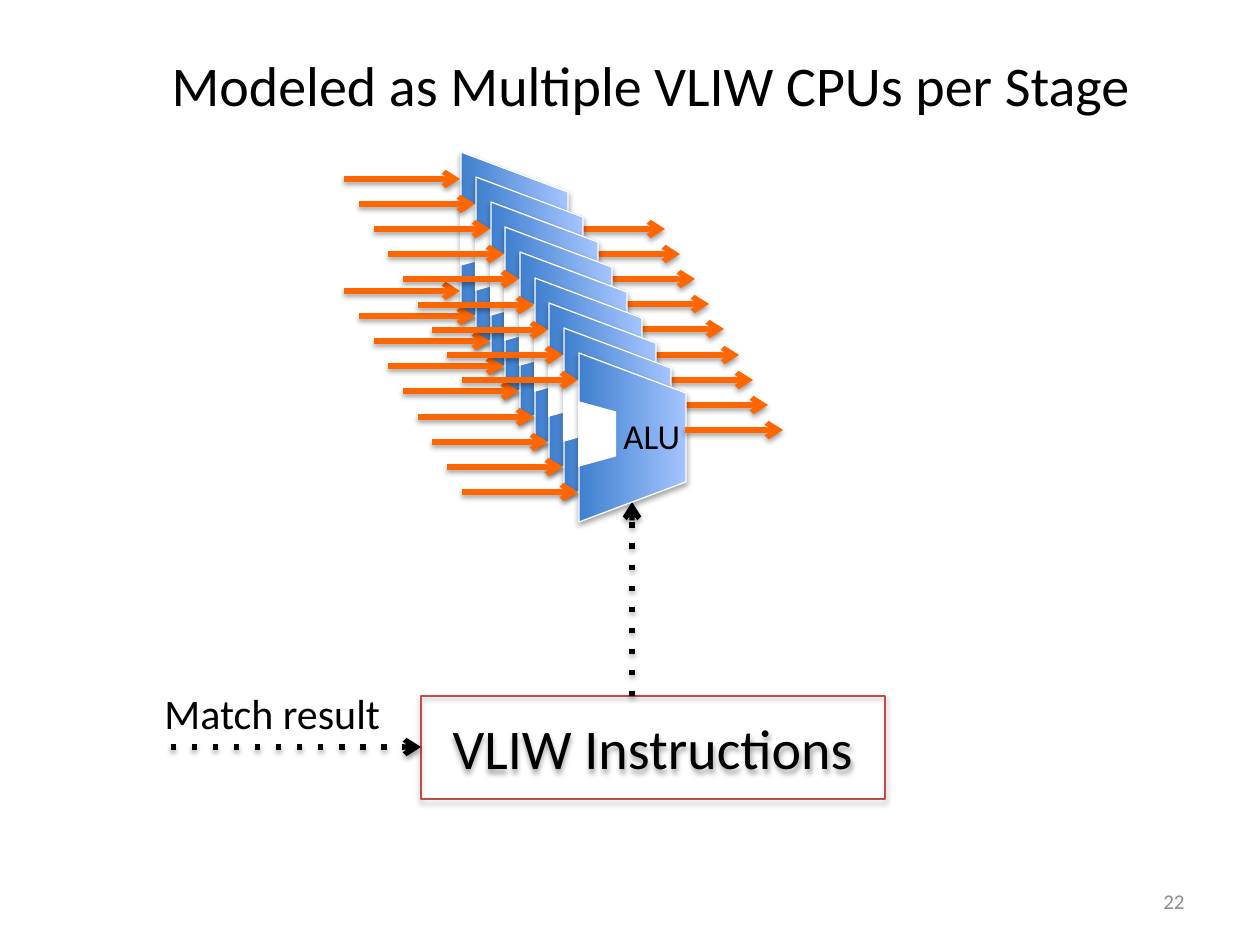
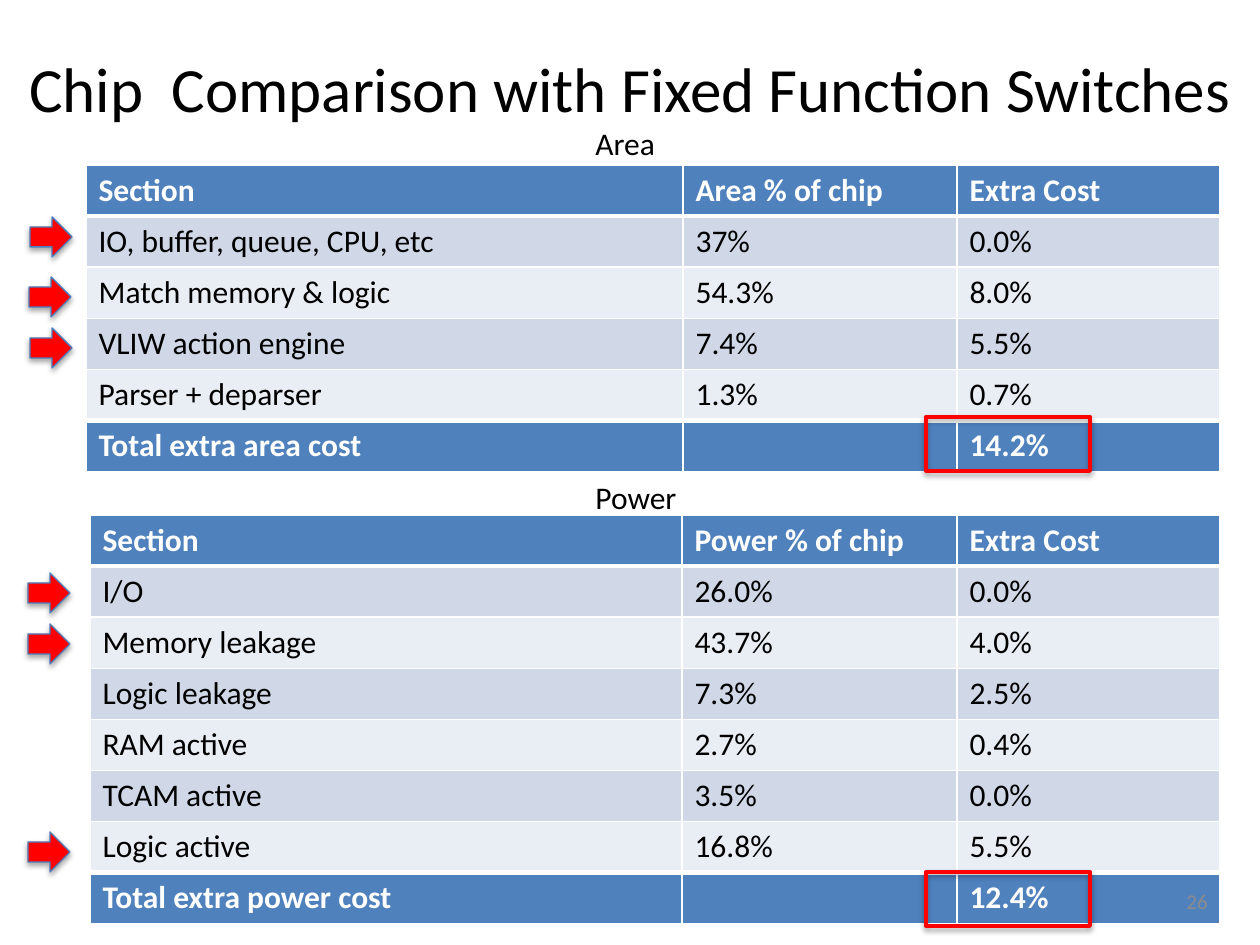
import lxml.etree
import pptx
import pptx.dml.color
import pptx.enum.shapes
import pptx.enum.text
import pptx.oxml
import pptx.oxml.ns
import pptx.util

RGB = pptx.dml.color.RGBColor
SHAPE = pptx.enum.shapes.MSO_SHAPE
ALIGN = pptx.enum.text.PP_ALIGN
ANCHOR = pptx.enum.text.MSO_ANCHOR
AUTO = pptx.enum.text.MSO_AUTO_SIZE
qn = pptx.oxml.ns.qn

BLACK = RGB(0x00, 0x00, 0x00)
WHITE = RGB(0xFF, 0xFF, 0xFF)
GREY = RGB(0x8C, 0x8C, 0x8C)
ORANGE = RGB(0xFF, 0x66, 0x00)
RED = RGB(0xFF, 0x00, 0x00)
BOX_RED = RGB(0xBF, 0x4C, 0x48)
ARROW_EDGE = RGB(0x4B, 0x7E, 0xBC)
ALU_DARK = RGB(0x3F, 0x80, 0xCE)
ALU_LIGHT = RGB(0xA4, 0xC4, 0xFF)
HEADER_BLUE = RGB(0x4F, 0x81, 0xBD)
BANDS = [RGB(0xD0, 0xD8, 0xE8), RGB(0xE9, 0xED, 0xF4)]

FONT = "Calibri"
PX_PER_INCH = 126
ROW_H = 51
ALU_COUNT = 9
STACK_SHIFT = (118, 201)

AREA_ROWS = [
    ("Section", "Area % of chip", "Extra Cost"),
    ("IO, buffer, queue, CPU, etc", "37%", "0.0%"),
    ("Match memory & logic", "54.3%", "8.0%"),
    ("VLIW action engine", "7.4%", "5.5%"),
    ("Parser + deparser", "1.3%", "0.7%"),
    ("Total extra area cost", "", "14.2%"),
]
POWER_ROWS = [
    ("Section", "Power % of chip", "Extra Cost"),
    ("I/O", "26.0%", "0.0%"),
    ("Memory leakage", "43.7%", "4.0%"),
    ("Logic leakage", "7.3%", "2.5%"),
    ("RAM active", "2.7%", "0.4%"),
    ("TCAM active", "3.5%", "0.0%"),
    ("Logic active", "16.8%", "5.5%"),
    ("Total extra power cost", "", "12.4%"),
]


def px(*values):
    return [round(v * 914400 / PX_PER_INCH) for v in values]


def set_attrs(obj, values):
    for name, value in values.items():
        setattr(obj, name, value)


def write(tf, text, size, color=BLACK, align=ALIGN.LEFT, bold=False, **frame):
    set_attrs(tf, frame)
    p = tf.paragraphs[0]
    p.alignment = align
    r = p.add_run()
    r.text = text
    set_attrs(r.font, {"name": FONT, "size": pptx.util.Pt(size), "bold": bold})
    r.font.color.rgb = color


def add_text(shapes, box, text, size, **fmt):
    tf = shapes.add_textbox(*px(*box)).text_frame
    write(tf, text, size, **{"word_wrap": False, **fmt})


def add_shadow(sp, alpha=35, dist=23000):
    spPr = sp._element.spPr
    for old in spPr.findall(qn("a:effectLst")):
        spPr.remove(old)
    spPr.append(pptx.oxml.parse_xml(
        f'<a:effectLst {pptx.oxml.ns.nsdecls("a")}>'
        f'<a:outerShdw blurRad="40000" dist="{dist}" dir="5400000" rotWithShape="0">'
        f'<a:srgbClr val="000000"><a:alpha val="{alpha * 1000}"/></a:srgbClr>'
        '</a:outerShdw></a:effectLst>'))


def add_box(shapes, kind, box, fill=None, line=None, width=0.75, shadow=True):
    sp = shapes.add_shape(kind, *px(*box))
    sp.shadow.inherit = False
    if fill is None:
        sp.fill.background()
    else:
        sp.fill.solid()
        sp.fill.fore_color.rgb = fill
    if line is None:
        sp.line.fill.background()
    else:
        sp.line.color.rgb = line
        sp.line.width = pptx.util.Pt(width)
    if shadow:
        add_shadow(sp)
    return sp


def add_arrow(shapes, ends, color, dotted=False):
    line = shapes.add_connector(pptx.enum.shapes.MSO_CONNECTOR.STRAIGHT, *px(*ends))
    line.line.color.rgb = color
    line.line.width = pptx.util.Pt(3)
    ln = line.line._get_or_add_ln()
    if dotted:
        lxml.etree.SubElement(ln, qn("a:prstDash"), val="dot")
    lxml.etree.SubElement(ln, qn("a:tailEnd"), type="arrow")
    add_shadow(line, alpha=38, dist=20000)


def add_title(s, box, text, size, **fmt):
    title = s.shapes.title
    set_attrs(title, dict(zip(("left", "top", "width", "height"), px(*box))))
    write(title.text_frame, text, size, auto_size=AUTO.NONE, **fmt)


def add_page_number(s, left, number):
    add_text(s.shapes, (left, 876, 294, 50), number, 12, color=GREY,
             align=ALIGN.RIGHT, vertical_anchor=ANCHOR.MIDDLE, word_wrap=True)


def add_alu(s, dx, dy):
    shapes = s.shapes.add_group_shape().shapes
    body = add_box(shapes, SHAPE.TRAPEZOID, (430 + dx, 183 + dy, 169, 107), line=WHITE)
    body.rotation = 90
    body.adjustments[0] = 0.375
    body.fill.gradient()
    body.fill.gradient_angle = 90
    for stop, color in zip(body.fill.gradient_stops, (ALU_DARK, ALU_LIGHT)):
        stop.color.rgb = color
    notch = add_box(shapes, SHAPE.TRAPEZOID, (446 + dx, 214 + dy, 66, 38),
                    fill=WHITE, shadow=False)
    notch.rotation = 90
    notch.adjustments[0] = 0.277
    for x1, x2, y in ((344, 460, 179), (344, 460, 291), (567, 665, 229)):
        add_arrow(shapes, (x1 + dx, y + dy, x2 + dx, y + dy), ORANGE)
    add_text(shapes, (493 + dx, 207 + dy, 83, 55), "ALU", 20)


def set_borders(cell, top, bottom):
    tcPr = cell._tc.get_or_add_tcPr()
    for i, (side, width) in enumerate((("L", 1), ("R", 1), ("T", top), ("B", bottom))):
        ln = pptx.oxml.parse_xml(
            f'<a:ln{side} {pptx.oxml.ns.nsdecls("a")} w="{width * 12700}">'
            f'<a:solidFill><a:srgbClr val="{WHITE}"/></a:solidFill></a:ln{side}>')
        tcPr.insert(i, ln)


def add_cost_table(s, left, top, widths, rows):
    last = len(rows) - 1
    table = s.shapes.add_table(len(rows), len(widths),
                               *px(left, top, sum(widths), ROW_H * len(rows))).table
    set_attrs(table, {"first_row": True, "last_row": True, "horz_banding": False})
    for col, width in zip(table.columns, px(*widths)):
        col.width = width
    for i, row in enumerate(rows):
        table.rows[i].height = px(ROW_H)[0]
        strong = i in (0, last)
        for j, text in enumerate(row):
            cell = table.cell(i, j)
            cell.fill.solid()
            cell.fill.fore_color.rgb = HEADER_BLUE if strong else BANDS[(i - 1) % 2]
            set_borders(cell, 3 if i in (1, last) else 1, 3 if i in (0, last - 1) else 1)
            if text:
                write(cell.text_frame, text, 18, color=WHITE if strong else BLACK,
                      bold=strong)


def build_vliw_slide(prs):
    s = prs.slides.add_slide(prs.slide_layouts[5])
    add_title(s, (159, 44, 994, 81), "Modeled as Multiple VLIW CPUs per Stage", 32,
              word_wrap=False, vertical_anchor=ANCHOR.TOP)
    box = add_box(s.shapes, SHAPE.RECTANGLE, (421, 696, 464, 103), line=BOX_RED)
    write(box.text_frame, "VLIW Instructions", 32, align=ALIGN.CENTER,
          vertical_anchor=ANCHOR.MIDDLE)
    add_arrow(s.shapes, (632, 696, 632, 502), BLACK, dotted=True)
    add_arrow(s.shapes, (171, 747, 421, 747), BLACK, dotted=True)
    add_text(s.shapes, (152, 681, 245, 63), "Match result", 24)
    for i in range(ALU_COUNT):
        add_alu(s, *(round(shift * i / (ALU_COUNT - 1)) for shift in STACK_SHIFT))
    add_page_number(s, 903, "22")


def build_cost_slide(prs):
    s = prs.slides.add_slide(prs.slide_layouts[5])
    add_title(s, (0, 27, 1260, 121), "Chip  Comparison with Fixed Function Switches", 36,
              align=ALIGN.CENTER, vertical_anchor=ANCHOR.MIDDLE)
    add_cost_table(s, 86, 165, (597, 274, 263), AREA_ROWS)
    add_cost_table(s, 90, 515, (592, 275, 263), POWER_ROWS)
    add_text(s.shapes, (583, 118, 86, 50), "Area", 18)
    add_text(s.shapes, (583, 472, 108, 50), "Power", 18)
    for left, top in ((30, 217), (29, 277), (30, 328), (28, 573), (28, 624), (28, 832)):
        add_box(s.shapes, SHAPE.RIGHT_ARROW, (left, top, 42, 40), fill=RED, line=ARROW_EDGE)
    for top in (417, 872):
        add_box(s.shapes, SHAPE.RECTANGLE, (926, top, 164, 54), line=RED, width=2.25)
    add_page_number(s, 926, "26")


def main():
    prs = pptx.Presentation()
    prs.slide_width, prs.slide_height = px(1260, 945)
    build_vliw_slide(prs)
    build_cost_slide(prs)
    prs.save("out.pptx")


main()
